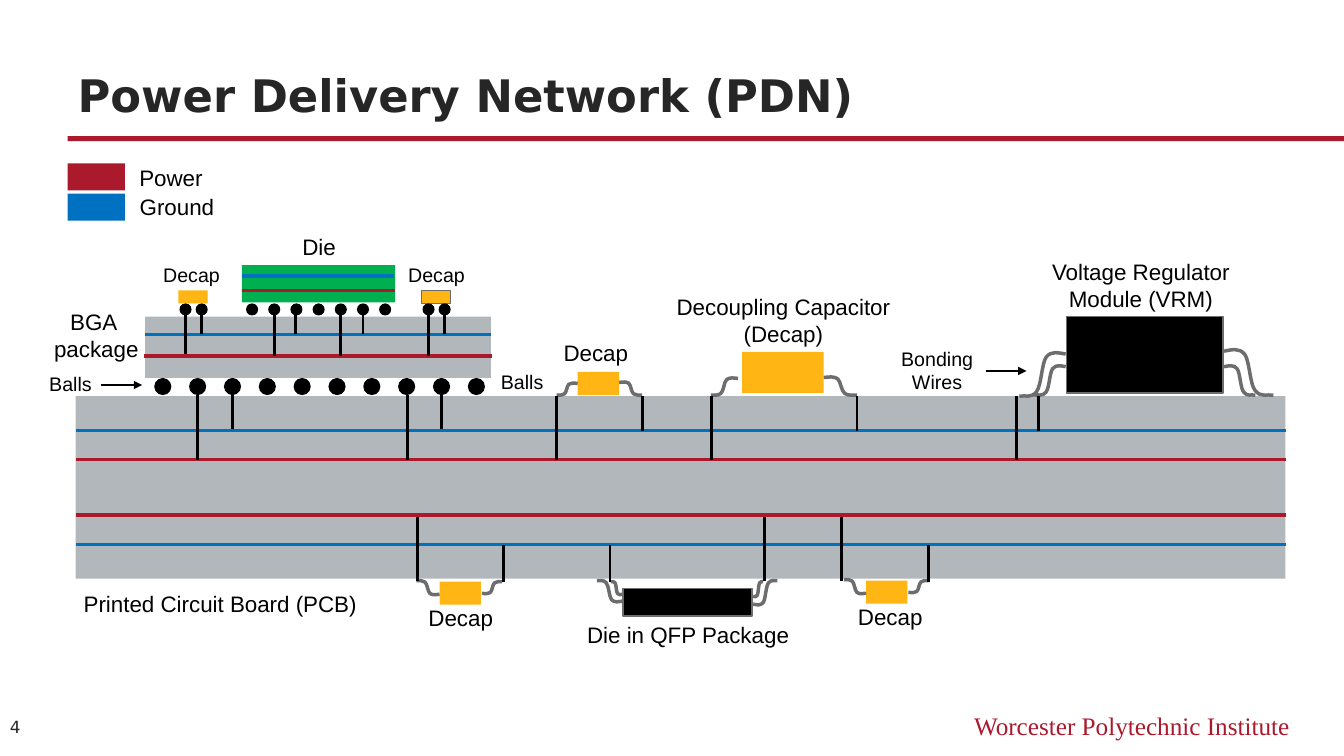
import lxml.etree
import pptx
import pptx.dml.color
import pptx.enum.shapes
import pptx.enum.text
import pptx.oxml.ns
import pptx.util

EMU_PER_PX = 9144  # 100 px to the inch
COLORS = {
    "power": "AB192D", "ground": "0070C0", "board": "B2B7BB", "die": "00B050",
    "decap": "FFB614", "wire": "6D6D6D", "black": "000000", "title": "262626",
}
RECT = pptx.enum.shapes.MSO_SHAPE.RECTANGLE
OVAL = pptx.enum.shapes.MSO_SHAPE.OVAL
LEFT, CENTER, RIGHT = (
    pptx.enum.text.PP_ALIGN.LEFT, pptx.enum.text.PP_ALIGN.CENTER, pptx.enum.text.PP_ALIGN.RIGHT)


def emu(*lengths):
    return [pptx.util.Emu(round(length * EMU_PER_PX)) for length in lengths]


def rgb(name):
    return pptx.dml.color.RGBColor.from_string(COLORS[name])


presentation = pptx.Presentation()
presentation.slide_width, presentation.slide_height = emu(1333, 750)
slide = presentation.slides.add_slide(presentation.slide_layouts[5])
shapes = slide.shapes

# Title
title = shapes.title
title.left, title.top, title.width, title.height = emu(67, 38, 1200, 88)
title.text_frame.text = "Power Delivery Network (PDN)"
title.text_frame.auto_size = pptx.enum.text.MSO_AUTO_SIZE.NONE
title.text_frame.vertical_anchor = pptx.enum.text.MSO_ANCHOR.BOTTOM
heading = title.text_frame.paragraphs[0]
heading.alignment = LEFT
heading.font.name, heading.font.size, heading.font.bold = "DejaVu Sans", pptx.util.Pt(32), True
heading.font.color.rgb = rgb("title")

# Blocks: preset, left, top, width, height, fill, outlined
blocks = [
    (RECT, 67, 135, 1266, 5, "power", False),  # title rule
    (RECT, 67, 162, 57, 27, "power", False),  # legend
    (RECT, 67, 192, 57, 27, "ground", False),
    (RECT, 240, 263, 152, 37, "die", False),
    (RECT, 144, 314, 343, 61, "board", False),  # BGA package
    (RECT, 75, 393, 1200, 181, "board", False),  # PCB
    (RECT, 1058, 314, 155, 76, "black", True),  # VRM
    (RECT, 618, 584, 128, 27, "black", True),  # QFP
    (RECT, 736, 349, 81, 41, "decap", False),
    (RECT, 573, 369, 41, 23, "decap", False),
    (RECT, 418, 288, 29, 13, "decap", True),
    (RECT, 177, 288, 29, 13, "decap", False),
    (RECT, 436, 577, 41, 23, "decap", False),
    (RECT, 859, 576, 41, 23, "decap", False),
]
die_bumps = [244 + 22 * i for i in range(7)]
decap_bumps = [178, 194, 419, 435]
blocks += [(OVAL, x, 301, 12, 12, "black", False) for x in die_bumps + decap_bumps]
blocks += [(OVAL, 153 + 311 * i / 9, 375, 17, 17, "black", False) for i in range(10)]

for preset, left, top, width, height, fill, outlined in blocks:
    block = shapes.add_shape(preset, *emu(left, top, width, height))
    block.shadow.inherit = False
    block.fill.solid()
    block.fill.fore_color.rgb = rgb(fill)
    if outlined:
        block.line.color.rgb = rgb("wire")
        block.line.width = pptx.util.Pt(1)
    else:
        block.line.fill.background()

# Bonding wires: from the component (x, y) to the pad (x, y)
bonding_wires = [
    (1057, 363, 1026, 392), (1214, 363, 1245, 392),
    (1057, 350, 1011, 393), (1214, 347, 1263, 392),
    (573, 380, 552, 392), (614, 379, 637, 392),
    (817, 374, 850, 392), (732, 375, 705, 392),
    (478, 589, 498, 577), (436, 590, 413, 576),
    (901, 588, 921, 576), (859, 589, 837, 575),
    (617, 597, 592, 576), (747, 600, 771, 576),
    (617, 590, 606, 577), (747, 592, 757, 577),
]
# Start point, then three cubic segments, in fractions of a wire's run and rise
WIRE_CURVE = [
    (0, 0.03),
    (0.15, 0), (0.31, -0.05), (0.42, 0.1),
    (0.52, 0.26), (0.52, 0.75), (0.63, 0.9),
    (0.74, 1.05), (0.86, 0.98), (1, 1),
]

for x1, y1, x2, y2 in bonding_wires:
    route = [emu(x1 + u * (x2 - x1), y1 + v * (y2 - y1)) for u, v in WIRE_CURVE]
    builder = shapes.build_freeform(*route[0])
    builder.add_line_segments(route[1:], close=False)
    wire = builder.convert_to_shape()
    wire.shadow.inherit = False
    wire.fill.background()
    wire.line.color.rgb = rgb("wire")
    wire.line.width = pptx.util.Pt(2.5)
    segments = list(wire._element.iter(pptx.oxml.ns.qn("a:lnTo")))
    outline = segments[0].getparent()
    for i, segment in enumerate(segments):
        if i % 3 == 0:
            curve = lxml.etree.SubElement(outline, pptx.oxml.ns.qn("a:cubicBezTo"))
        curve.append(segment[0])
        outline.remove(segment)

# Planes: left, right, y, net
planes = [
    (75, 1275, 456, "power"), (75, 1275, 427, "ground"),
    (75, 1275, 540, "ground"), (75, 1275, 511, "power"),
    (144, 487, 332, "ground"), (143, 488, 353, "power"),
    (240, 392, 288, "power"), (240, 391, 274, "ground"),
]
# Vias: top, bottom, x positions
vias = [
    (392, 426, [231, 438]), (392, 456, [196, 404]),
    (313, 353, [272, 338, 425]), (311, 351, [184]),
    (313, 331, [200, 293, 360, 441]),
    (393, 428, [637, 850, 1030]), (393, 456, [552, 706, 1008]),
    (513, 576, [414, 758, 835]), (541, 577, [499, 605, 921]),
]
lines = [(left, y, right, y, net, 2.5, False) for left, right, y, net in planes]
lines += [(x, top, x, bottom, "black", 2, False) for top, bottom, xs in vias for x in xs]
lines += [(100, 382, 141, 382, "black", 1.5, True), (978, 368, 1018, 368, "black", 1.5, True)]

for x1, y1, x2, y2, color, weight, arrow in lines:
    trace = shapes.add_connector(pptx.enum.shapes.MSO_CONNECTOR.STRAIGHT, *emu(x1, y1, x2, y2))
    trace.line.color.rgb = rgb(color)
    trace.line.width = pptx.util.Pt(weight)
    if arrow:
        head = lxml.etree.SubElement(trace.line._get_or_add_ln(), pptx.oxml.ns.qn("a:tailEnd"))
        head.set("type", "triangle")
    lxml.etree.SubElement(trace._element.spPr, pptx.oxml.ns.qn("a:effectLst"))

# Labels: text, left, top, width, height, size
labels = [
    ("Power", 84, 158, 171, 27, 16),
    ("Ground", 90, 187, 171, 27, 16),
    ("Die", 288, 226, 57, 46, 16),
    ("BGA \npackage", 10, 301, 171, 27, 16),
    ("Voltage Regulator Module (VRM)", 1019, 251, 225, 46, 16),
    ("Decoupling Capacitor (Decap)", 652, 286, 250, 46, 16),
    ("Decap", 466, 332, 250, 46, 16),
    ("Decap", 332, 594, 250, 46, 16),
    ("Decap", 758, 593, 250, 46, 16),
    ("Die in QFP Package", 567, 611, 231, 27, 16),
    ("Printed Circuit Board (PCB)", 61, 581, 315, 42, 16),
    ("Decap", 388, 256, 90, 46, 14),
    ("Decap", 145, 256, 90, 46, 14),
    ("Balls", 25, 364, 90, 46, 14),
    ("Balls", 473, 362, 90, 46, 14),
    ("Bonding Wires", 866, 339, 127, 46, 14),
]
texts = [(*label, "Arial", "black", CENTER) for label in labels]
texts += [
    ("Worcester Polytechnic Institute", 800, 700, 489, 40, 18, "Times New Roman", "power", RIGHT),
    ("4", 0, 706, 67, 30, 12, "DejaVu Sans", "title", LEFT),
]
for text, left, top, width, height, size, font, color, alignment in texts:
    frame = shapes.add_textbox(*emu(left, top, width, height)).text_frame
    frame.word_wrap = True
    frame.text = text
    for paragraph in frame.paragraphs:
        paragraph.alignment = alignment
        paragraph.font.name, paragraph.font.size = font, pptx.util.Pt(size)
        paragraph.font.color.rgb = rgb(color)

presentation.save("out.pptx")
